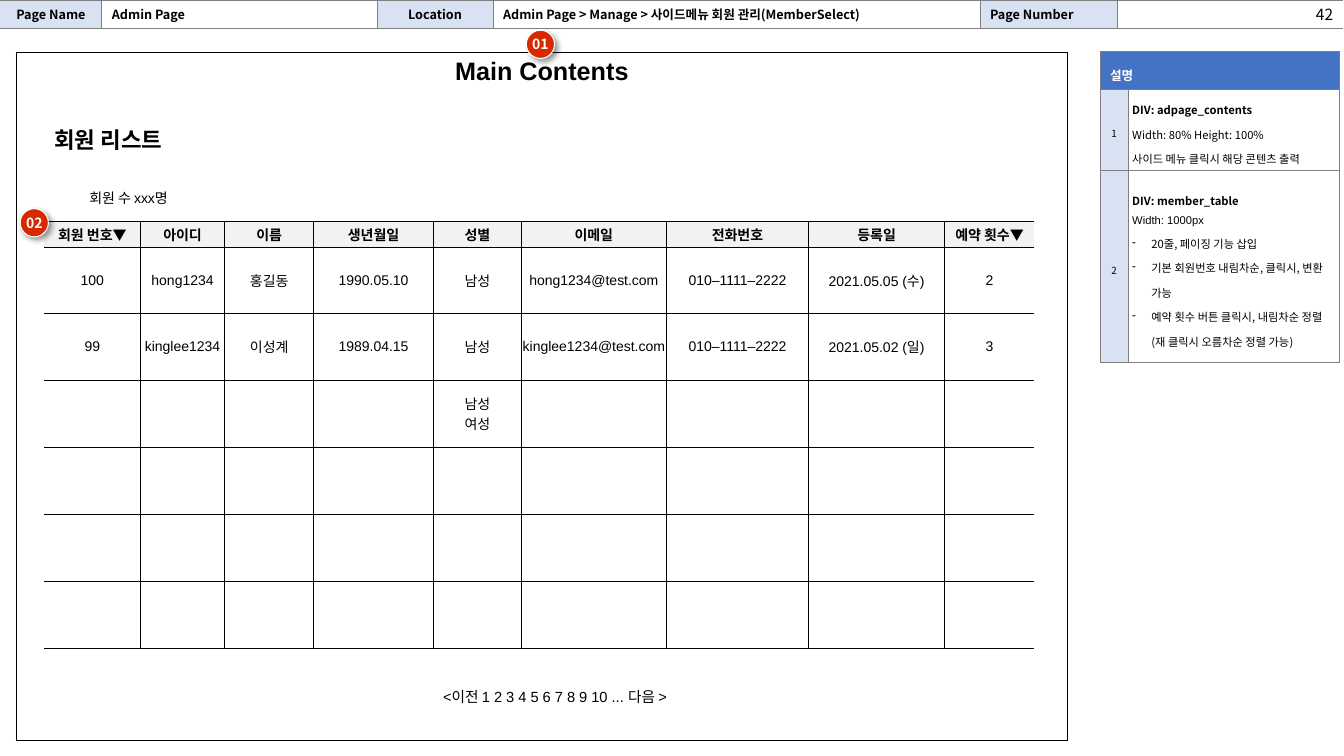
from itertools import product
from lxml import etree
from pptx import Presentation
from pptx.dml.color import RGBColor
from pptx.enum import shapes, text
from pptx.oxml import parse_xml
from pptx.oxml.ns import nsdecls, qn
from pptx.util import Inches, Pt

HEX = {"ink": "000000", "paper": "FFFFFF", "rule": "7F7F7F", "label": "D8E2F3",
       "head": "4472C4", "soft": "F2F2F2", "badge": "D62900"}
SANS, ARIAL = "Noto Sans CJK KR", "Arial"
MID, TOP = text.MSO_ANCHOR.MIDDLE, text.MSO_ANCHOR.TOP
LEFT, CENTER, RIGHT = text.PP_ALIGN.LEFT, text.PP_ALIGN.CENTER, text.PP_ALIGN.RIGHT
PAD = (0.1, 0.05, 0.1, 0.05)
NONE = (0, 0, 0, 0)


def rgb(name):
    return RGBColor.from_string(HEX[name])


def write(frame, words, size, face=SANS, color="ink", bold=False, align=LEFT,
          space=None, bullet=False):
    """Fill the first paragraph while it is empty, else add one."""
    para = frame.paragraphs[0]
    if para.runs:
        para = frame.add_paragraph()
    if bullet:
        props = para._p.get_or_add_pPr()
        props.set("marL", str(Inches(0.19)))
        props.set("indent", str(-Inches(0.19)))
        etree.SubElement(props, qn("a:buChar"), char="-")
    para.alignment = align
    if space:
        para.line_spacing = space
    if not words:
        etree.SubElement(para._p, qn("a:endParaRPr"), sz=str(int(size * 100)))
        return
    run = para.add_run()
    run.text = words
    font = run.font
    font.size, font.bold, font.name = Pt(size), bold, face
    font.color.rgb = rgb(color)
    etree.SubElement(font._element, qn("a:ea"), typeface=SANS)


def inset(frame, pad, anchor=MID):
    sides = [Inches(n) for n in pad]
    frame.margin_left, frame.margin_top, frame.margin_right, frame.margin_bottom = sides
    frame.vertical_anchor = anchor
    frame.word_wrap = True


def edge(cell, sides, color):
    """Draw the named sides of a cell and clear the others."""
    props = cell._tc.get_or_add_tcPr()
    for side in "LRTB":
        line = etree.SubElement(props, qn("a:ln" + side), w=str(Pt(0.75)))
        if side in sides:
            fill = etree.SubElement(line, qn("a:solidFill"))
            etree.SubElement(fill, qn("a:srgbClr"), val=HEX[color])
        else:
            etree.SubElement(line, qn("a:noFill"))


def grid(slide, x, y, cols, rows, line=None, open_ends=False):
    """Add a plain white table; open_ends drops its outer left and right lines."""
    table = slide.shapes.add_table(len(rows), len(cols), Inches(x), Inches(y),
                                   Inches(sum(cols)), Inches(sum(rows))).table
    table.first_row = table.horz_banding = False
    for col, wide in zip(table.columns, cols):
        col.width = Inches(wide)
    for row, high in zip(table.rows, rows):
        row.height = Inches(high)
    for r, c in product(range(len(rows)), range(len(cols))):
        sides = "LRTB" if line else ""
        if open_ends and c == 0:
            sides = sides.replace("L", "")
        if open_ends and c == len(cols) - 1:
            sides = sides.replace("R", "")
        edge(table.cell(r, c), sides, line)
        paint(table.cell(r, c), "paper")
    return table


def paint(cell, color):
    cell.fill.solid()
    cell.fill.fore_color.rgb = rgb(color)


def put(cell, words, size, pad=PAD, anchor=MID, fill="paper", **style):
    paint(cell, fill)
    cell.margin_left, cell.margin_top, cell.margin_right, cell.margin_bottom = [
        Inches(n) for n in pad]
    cell.vertical_anchor = anchor
    for line in words.split("\n"):
        write(cell.text_frame, line, size, **style)


def badge(slide, x, y, number):
    dot = slide.shapes.add_shape(shapes.MSO_SHAPE.OVAL, Inches(x), Inches(y),
                                 Inches(0.28), Inches(0.28))
    dot.fill.solid()
    dot.fill.fore_color.rgb = rgb("badge")
    dot.line.color.rgb = rgb("paper")
    dot.line.width = Pt(0.75)
    dot._element.spPr.append(parse_xml(
        f'<a:effectLst {nsdecls("a")}><a:outerShdw blurRad="{Pt(4)}" dist="{Pt(3)}" '
        f'dir="{45 * 60000}" algn="tl" rotWithShape="0"><a:srgbClr val="{HEX["ink"]}">'
        '<a:alpha val="40000"/></a:srgbClr></a:outerShdw></a:effectLst>'))
    inset(dot.text_frame, NONE)
    dot.text_frame.word_wrap = False
    write(dot.text_frame, number, 10, color="paper", bold=True, align=CENTER)


def header(slide, x, y):
    cols = [1.01, 2.73, 1.15, 4.83, 1.36, 2.24]
    names = ["Page Name", "Admin Page", "Location",
             "Admin Page > Manage > 사이드메뉴 회원 관리(MemberSelect)", "Page Number", ""]
    table = grid(slide, x, y, cols, [0.28], "rule", True)
    for i, name in enumerate(names):
        put(table.cell(0, i), name, 9, bold=True, fill="paper" if i % 2 else "label",
            align=CENTER if i in (0, 2) else LEFT)
    page = slide.shapes.add_textbox(Inches(x + sum(cols[:-1]) - 0.01), Inches(y),
                                    Inches(2.25), Inches(0.25)).text_frame
    inset(page, PAD, TOP)
    write(page, "42", 11, align=RIGHT)


def notes(slide, x, y):
    blocks = [
        [("DIV: adpage_contents", {"bold": True}), ("Width: 80% Height: 100%", {}),
         ("사이드 메뉴 클릭시 해당 콘텐츠 출력", {})],
        [("DIV: member_table", {"bold": True}), ("Width: 1000px", {"face": ARIAL}),
         ("20줄, 페이징 기능 삽입", {"bullet": True}),
         ("기본 회원번호 내림차순, 클릭시, 변환 가능", {"bullet": True}),
         ("예약 횟수 버튼 클릭시, 내림차순 정렬(재 클릭시 오름차순 정렬 가능)", {"bullet": True})]]
    table = grid(slide, x, y, [0.28, 2.1], [0.38, 0.8, 1.91], "rule")
    table.cell(0, 0).merge(table.cell(0, 1))
    put(table.cell(0, 0), "설명", 9, fill="head", color="paper", bold=True, space=1.5)
    for i, block in enumerate(blocks, 1):
        put(table.cell(i, 0), str(i), 7, pad=(0, 0.05, 0, 0.05), fill="label",
            align=CENTER, space=1.5)
        for words, style in block:
            put(table.cell(i, 1), words, 8, pad=(0.04,) * 4, space=1.5, **style)


def members(slide, x, y):
    cols = [0.95, 0.84, 0.88, 1.19, 0.87, 1.44, 1.41, 1.35, 0.89]
    rows = [
        ["회원 번호▼", "아이디", "이름", "생년월일", "성별", "이메일", "전화번호", "등록일", "예약 횟수▼"],
        ["100", "hong1234", "홍길동", "1990.05.10", "남성", "hong1234@test.com",
         "010–1111–2222", "2021.05.05 (수)", "2"],
        ["99", "kinglee1234", "이성계", "1989.04.15", "남성", "kinglee1234@test.com",
         "010–1111–2222", "2021.05.02 (일)", "3"],
        [""] * 4 + ["남성\n여성"] + [""] * 4] + [[""] * 9] * 3
    table = grid(slide, x, y, cols, [0.25] + [0.66] * 2 + [0.665] * 4, "ink", True)
    for r, row in enumerate(rows):
        for c, words in enumerate(row):
            put(table.cell(r, c), words, 10, pad=NONE, face=ARIAL, align=CENTER,
                bold=r == 0, fill="paper" if r else "soft")


def content(slide, x, y):
    """Place the framed page with its heading, member list and pager."""
    frame = grid(slide, x, y, [10.43], [6.83], "ink")
    put(frame.cell(0, 0), "Main Contents", 18, anchor=TOP, face=ARIAL, bold=True,
        align=CENTER)
    badge(slide, x + 5.06, y - 0.22, "01")
    left = x + 0.28
    members(slide, left, y + 1.68)
    pager = grid(slide, x + 3.54, y + 6.23, [3.61], [0.28])
    put(pager.cell(0, 0), "<이전 1 2 3 4 5 6 7 8 9 10 ... 다음 >", 10.5, face=ARIAL,
        align=CENTER)
    count = grid(slide, left, y + 1.29, [1.67, 4.25, 1.59], [0.28])
    for i, words in enumerate(["회원 수 xxx명", "", ""]):
        put(count.cell(0, i), words, 10, face=ARIAL, align=CENTER)
    badge(slide, x + 0.04, y + 1.55, "02")
    title = slide.shapes.title
    title.left, title.top = Inches(left), Inches(y + 0.68)
    title.width, title.height = Inches(6.67), Inches(0.37)
    inset(title.text_frame, PAD, TOP)
    title.text_frame.auto_size = text.MSO_AUTO_SIZE.NONE
    write(title.text_frame, "회원 리스트", 16, bold=True)
    slide.shapes._spTree.append(title._element)


def main():
    deck = Presentation()
    deck.slide_width, deck.slide_height = Inches(13.33), Inches(7.5)
    slide = deck.slides.add_slide(deck.slide_layouts[5])
    header(slide, 0, 0)
    notes(slide, 10.91, 0.51)
    content(slide, 0.16, 0.52)
    deck.save("out.pptx")


if __name__ == "__main__":
    main()
